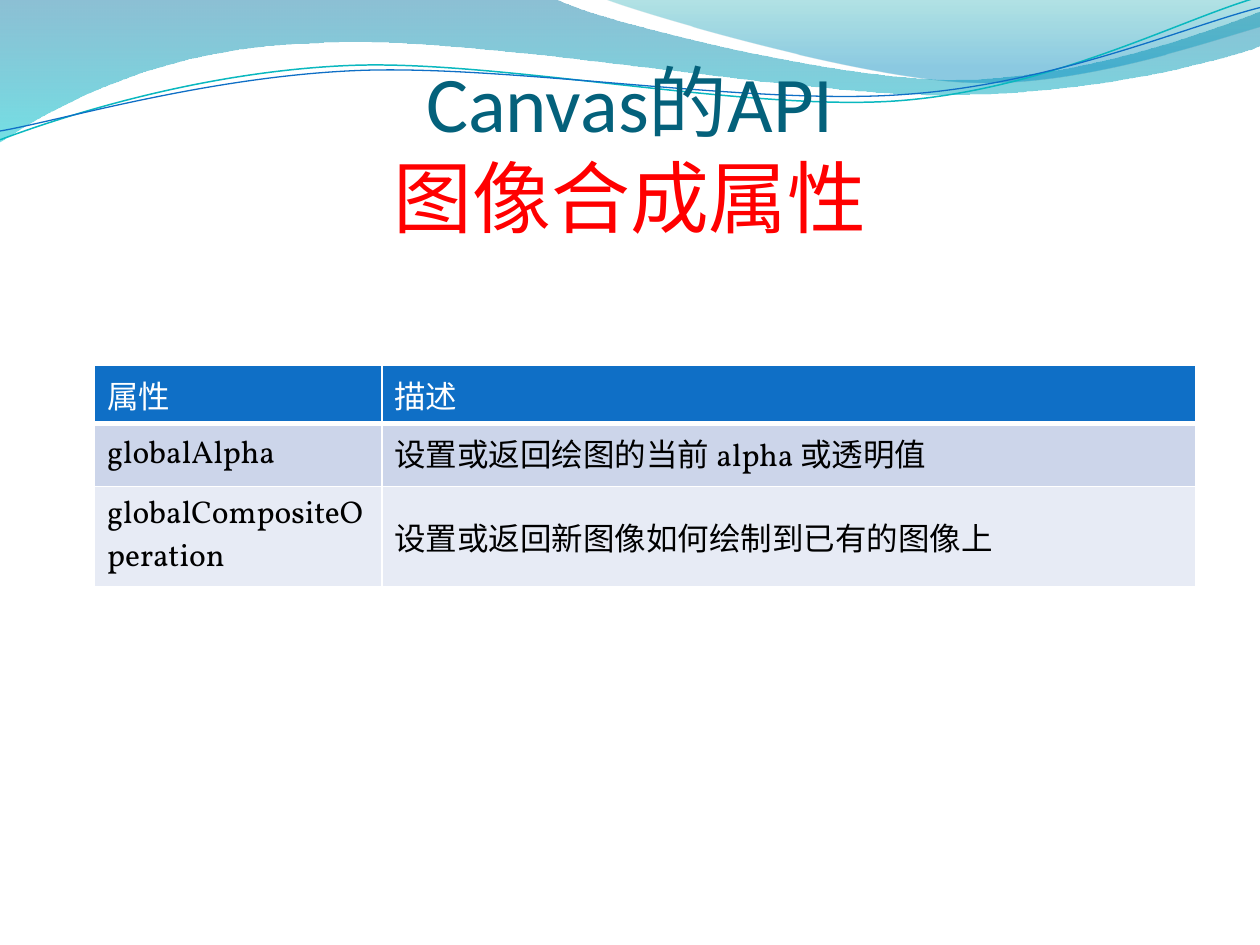
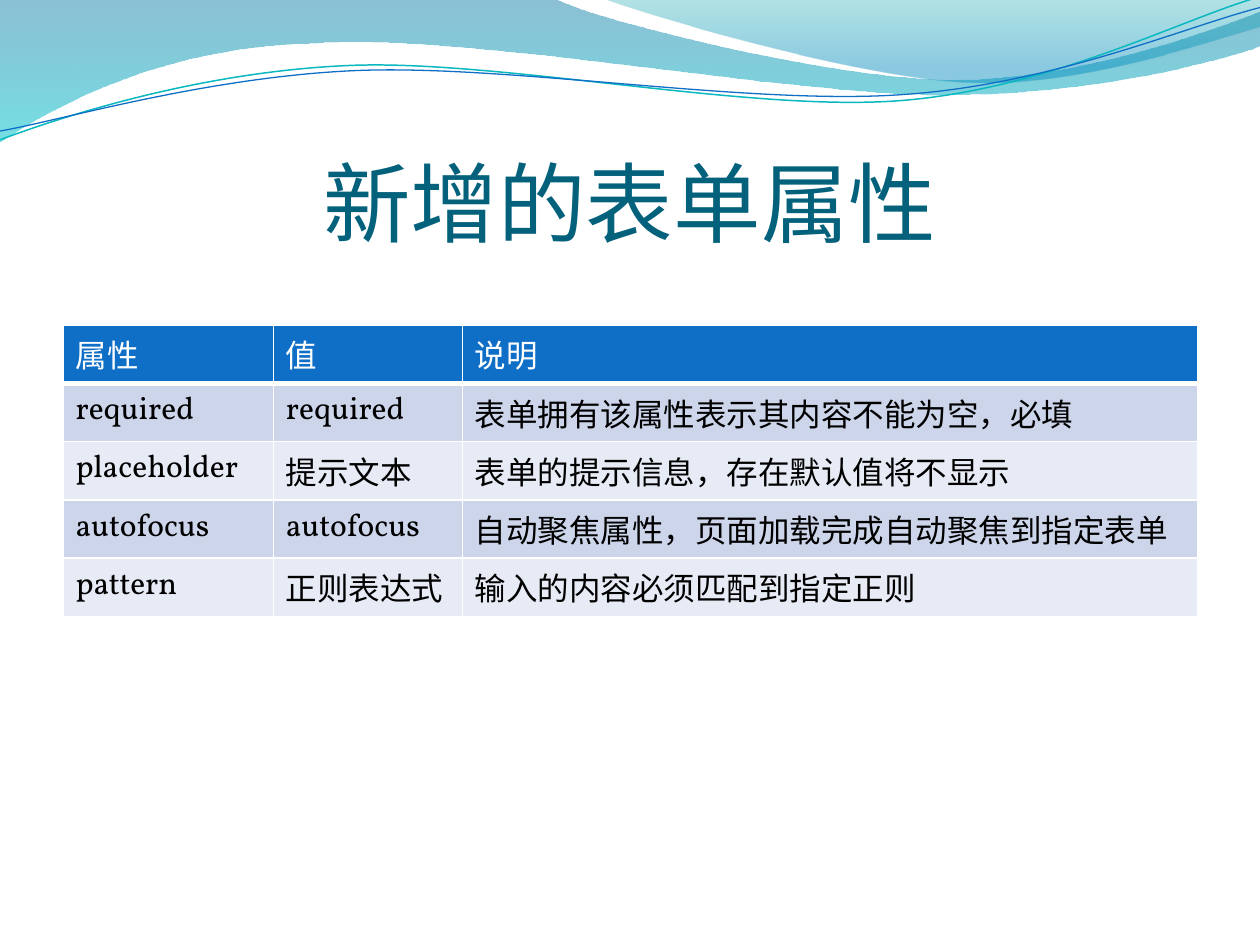
from dataclasses import dataclass
from math import cos, radians, sin

from lxml.etree import SubElement
from pptx import Presentation
from pptx.dml.color import RGBColor
from pptx.enum.text import MSO_ANCHOR, MSO_AUTO_SIZE, PP_ALIGN
from pptx.oxml import parse_xml
from pptx.oxml.ns import nsdecls, qn
from pptx.util import Inches, Pt


@dataclass(frozen=True)
class Theme:
    title: str = "04617B"
    accent: str = "FF0000"
    head: str = "0F6FC6"
    bands: tuple = ("CCD5EA", "E7EBF5")
    white: str = "FFFFFF"
    black: str = "000000"
    teal: str = "0AB8BF"
    display: str = "Calibri"
    body: str = "Vollkorn"
    cell: int = 18


theme = Theme()


def write(par, text, font, size, color):
    run = par.add_run()
    run.text = text
    run.font.name = font
    run.font.size = Pt(size)
    run.font.bold = False
    run.font.color.rgb = RGBColor.from_string(color)


def turn(step, angle, mid=(4.99, 0.57)):
    """Turn the x, y pairs of a step clockwise about mid, as EMU pairs."""
    c, s = cos(radians(angle)), sin(radians(angle))
    pairs = [(x - mid[0], y - mid[1]) for x, y in zip(step[::2], step[1::2])]
    return [(Inches(mid[0] + x * c - y * s), Inches(mid[1] + x * s + y * c))
            for x, y in pairs]


prs = Presentation()
prs.slide_width = Inches(10)
prs.slide_height = Inches(7.5)
layout = prs.slide_layouts[5]

# Waves: steps, gradient stops (position, colour, opacity), line, tilt.
# A step of two numbers is a point, one of six is a cubic curve.
waves = [
    ([(0, 0), (4.4, -0.01), (4.76, 0.17, 6.64, 0.63, 7.58, 0.63),
      (8.53, 0.63, 9.58, 0.26, 10, 0.09), (10.01, 0.36),
      (9.83, 0.44, 8.7, 0.76, 7.46, 0.75),
      (6.22, 0.75, 3.82, 0.28, 2.57, 0.34),
      (1.29, 0.36, 0.46, 0.83, -0.01, 1.13), (0, 0)],
     [(0, "0074A1", 45), (1, "00C6CF", 55)], None, 0),
    ([(4.79, -0.01), (5.09, 0.11, 6.82, 0.62, 7.69, 0.65),
      (8.56, 0.69, 9.61, 0.32, 10, 0.21), (10, 0), (4.79, -0.01)],
     [(0, "00A1A9", 30), (0.8, "008BBF", 45)], None, 0),
    ([(0, 1.11), (0.48, 0.93, 1.58, 0.57, 2.77, 0.52),
      (3.95, 0.47, 5.93, 0.89, 7.13, 0.8),
      (8.33, 0.71, 9.38, 0.15, 9.98, -0.02)],
     None, (theme.teal, 0.85), 2.7),
    ([(0, 1.04), (0.47, 0.96, 1.64, 0.61, 2.83, 0.56),
      (4.03, 0.51, 5.97, 0.84, 7.17, 0.75),
      (8.36, 0.67, 9.41, 0.21, 10, 0.06)],
     None, (theme.head, 0.75), 2.7),
]

decks = [
    dict(title=[("Canvas的API", theme.title), ("图像合成属性", theme.accent)],
         size=45, box=(0.5, 0.76, 9, 1.17), spot=(0.75, 2.9),
         cols=(2.28, 6.46), anchor=MSO_ANCHOR.MIDDLE,
         rows=[("属性", "描述"),
               ("globalAlpha", "设置或返回绘图的当前 alpha 或透明值"),
               ("globalCompositeOperation",
                "设置或返回新图像如何绘制到已有的图像上")]),
    dict(title=[("新增的表单属性", theme.title)],
         size=50, box=(0.5, 0.77, 9, 1.25), spot=(0.5, 2.58),
         cols=(1.67, 1.5, 5.84), anchor=MSO_ANCHOR.TOP,
         rows=[("属性", "值", "说明"),
               ("required", "required", "表单拥有该属性表示其内容不能为空，必填"),
               ("placeholder", "提示文本", "表单的提示信息，存在默认值将不显示"),
               ("autofocus", "autofocus",
                "自动聚焦属性，页面加载完成自动聚焦到指定表单"),
               ("pattern", "正则表达式", "输入的内容必须匹配到指定正则")]),
]
slides = [prs.slides.add_slide(layout) for _ in decks]

# Only slides can build freeforms, so each wave is then moved to the master
for steps, stops, line, tilt in waves:
    steps = [turn(step, tilt) for step in steps]
    ends = [step[-1] for step in steps]
    pen = slides[0].shapes.build_freeform(*ends[0])
    pen.add_line_segments(ends[1:], close=stops is not None)
    wave = pen.convert_to_shape()
    wave.shadow.inherit = False
    wave.rotation = -tilt

    # Curved steps replace the straight ones between the same end points
    left, top = (min(axis) for axis in zip(*ends))
    for node, step in zip(list(wave.element.iter(qn("a:lnTo"))), steps[1:]):
        if len(step) == 3:
            node.clear()
            curve = SubElement(node.getparent(), qn("a:cubicBezTo"))
            for x, y in step:
                point = SubElement(curve, qn("a:pt"))
                point.set("x", str(x - left))
                point.set("y", str(y - top))
            node.getparent().replace(node, curve)

    if stops:
        wave.line.fill.background()
        wave.fill.gradient()
        wave.fill.gradient_angle = 270
        for stop, (place, color, _) in zip(wave.fill.gradient_stops, stops):
            stop.position = place
            stop.color.rgb = RGBColor.from_string(color)
        for tone, stop in zip(wave.element.iter(qn("a:srgbClr")), stops):
            SubElement(tone, qn("a:alpha")).set("val", str(stop[2] * 1000))
    else:
        wave.fill.background()
        wave.line.color.rgb = RGBColor.from_string(line[0])
        wave.line.width = Pt(line[1])
    prs.slide_master.shapes.element.append(wave.element)

for slide, deck in zip(slides, decks):
    title = slide.shapes.title
    title.left, title.top, title.width, title.height = map(Inches, deck["box"])
    frame = title.text_frame
    frame.word_wrap = True
    frame.auto_size = MSO_AUTO_SIZE.NONE
    frame.vertical_anchor = MSO_ANCHOR.BOTTOM
    frame.margin_left = frame.margin_right = frame.margin_bottom = 0
    frame.margin_top = Inches(0.05)
    par = frame.paragraphs[0]
    par.alignment = PP_ALIGN.CENTER
    for i, (text, color) in enumerate(deck["title"]):
        if i:
            par.add_line_break()
        write(par, text, font=theme.display, size=deck["size"], color=color)

    rows, cols = deck["rows"], deck["cols"]
    left, top = deck["spot"]
    grid = slide.shapes.add_table(
        len(rows), len(cols), Inches(left), Inches(top),
        Inches(sum(cols)), Inches(0.41 * len(rows)))
    table = grid.table
    for col, width in zip(table.columns, cols):
        col.width = Inches(width)
    for r, row in enumerate(rows):
        table.rows[r].height = Inches(0.41)
        fill = theme.bands[(r - 1) % 2] if r else theme.head
        for c, text in enumerate(row):
            cell = table.cell(r, c)
            cell.vertical_anchor = deck["anchor"]
            write(cell.text_frame.paragraphs[0], text, font=theme.body,
                  size=theme.cell, color=theme.black if r else theme.white)
            cell.fill.solid()
            cell.fill.fore_color.rgb = RGBColor.from_string(fill)

    # The table style rules the body; the head gets a thicker lower edge
    for props in list(grid.element.iter(qn("a:tcPr")))[:len(cols)]:
        for i, (side, width) in enumerate(zip("LRTB", (1, 1, 1, 3))):
            props.insert(i, parse_xml(
                f'<a:ln{side} {nsdecls("a")} w="{Pt(width)}"><a:solidFill>'
                f'<a:srgbClr val="{theme.white}"/></a:solidFill></a:ln{side}>'))

prs.save("out.pptx")
